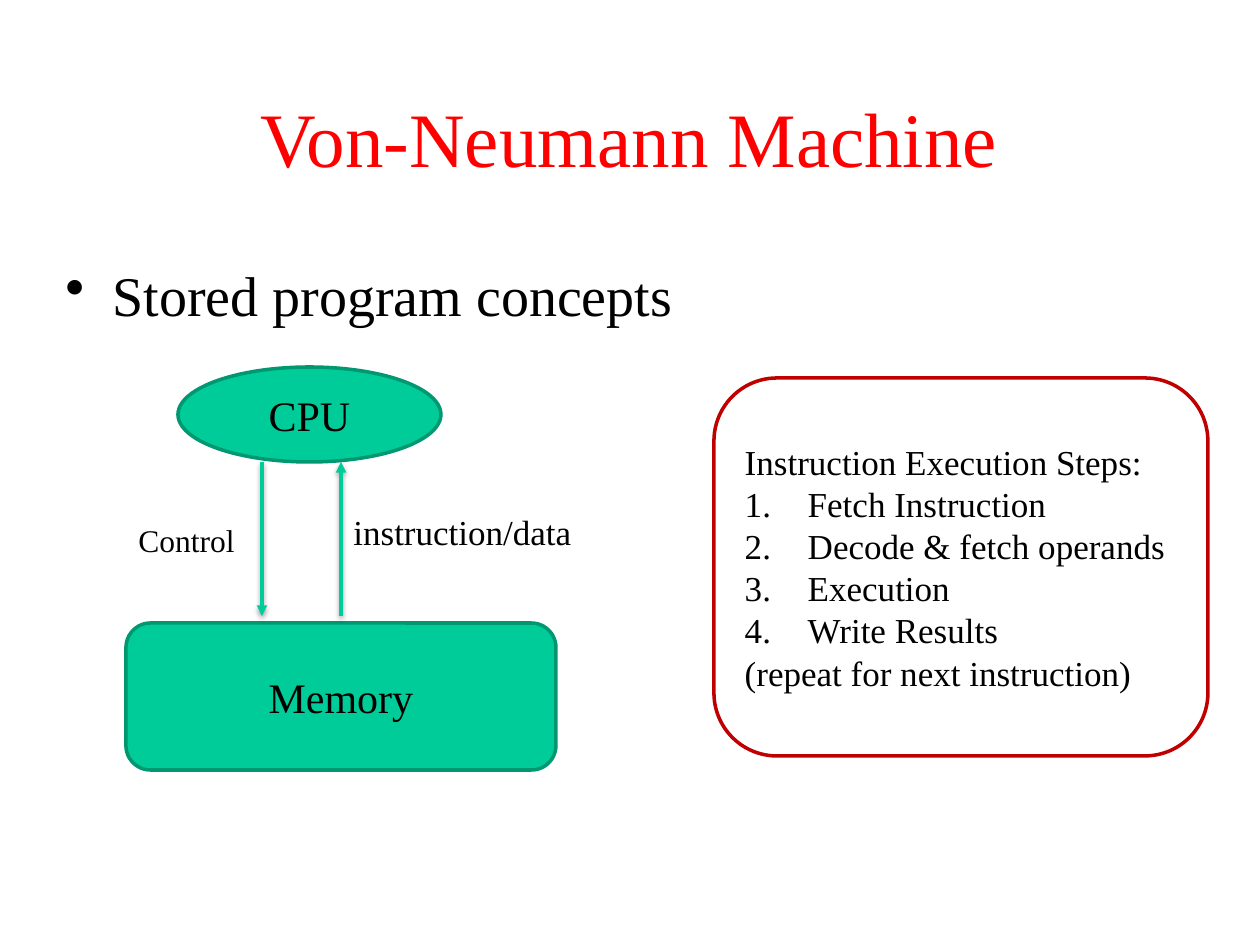
from pptx import Presentation
from pptx.dml.color import RGBColor
from pptx.enum.shapes import MSO_CONNECTOR as CONN, MSO_SHAPE as SHAPE
from pptx.enum.text import MSO_ANCHOR as ANCHOR, PP_ALIGN as ALIGN
from pptx.oxml import parse_xml
from pptx.oxml.ns import nsdecls
from pptx.util import Emu, Pt

SCALE = 914400 / 126
FONT = "Times New Roman"
COLORS = {
    "title": "FF0000",
    "text": "000000",
    "fill": "00CC99",
    "edge": "009771",
    "steps": "C00000",
}


def px(n):
    return Emu(round(n * SCALE))


def rgb(name):
    return RGBColor.from_string(COLORS[name])


def add_marker(p, indent, marker):
    pPr = p._p.get_or_add_pPr()
    pPr.set("marL", str(px(indent)))
    pPr.set("indent", str(-px(indent)))
    pPr.append(parse_xml(f"<a:{marker} {nsdecls('a')}/>"))


def write(tf, lines, size=24, color="text", align=ALIGN.LEFT,
          anchor=ANCHOR.TOP, wrap=True, indent=0, marker=None, marked=()):
    tf.word_wrap = wrap
    tf.vertical_anchor = anchor
    for i, line in enumerate(lines):
        p = tf.paragraphs[0] if i == 0 else tf.add_paragraph()
        p.alignment = align
        if i in marked:
            add_marker(p, indent, marker)
        r = p.add_run()
        r.text = line
        r.font.name = FONT
        r.font.size = Pt(size)
        r.font.color.rgb = rgb(color)


def add_title(s, text, box):
    title = s.shapes.title
    title.left, title.top, title.width, title.height = map(px, box)
    write(title.text_frame, [text], size=44, color="title",
          align=ALIGN.CENTER, anchor=ANCHOR.MIDDLE)


def add_label(s, text, box, **fmt):
    sp = s.shapes.add_textbox(*map(px, box))
    write(sp.text_frame, [text], **fmt)


def add_node(s, kind, lines, box, edge="edge", fill=None, **fmt):
    sp = s.shapes.add_shape(kind, *map(px, box))
    sp.shadow.inherit = False
    if fill:
        sp.fill.solid()
        sp.fill.fore_color.rgb = rgb(fill)
    else:
        sp.fill.background()
    sp.line.color.rgb = rgb(edge)
    sp.line.width = Pt(2)
    write(sp.text_frame, lines, anchor=ANCHOR.MIDDLE, **fmt)


def add_arrow(s, x, start, end):
    c = s.shapes.add_connector(CONN.STRAIGHT, px(x), px(start), px(x), px(end))
    c.line.color.rgb = rgb("fill")
    c.line.width = Pt(2)
    c.line._get_or_add_ln().append(
        parse_xml(f'<a:tailEnd {nsdecls("a")} type="triangle"/>'))
    c._element.spPr.append(parse_xml(
        f'<a:effectLst {nsdecls("a")}>'
        f'<a:outerShdw blurRad="{Pt(3.1)}" dist="{Pt(1.6)}" dir="5400000" rotWithShape="0">'
        '<a:srgbClr val="000000"><a:alpha val="38000"/></a:srgbClr>'
        '</a:outerShdw></a:effectLst>'))


def main():
    prs = Presentation()
    prs.slide_width, prs.slide_height = px(1260), px(945)
    s = prs.slides.add_slide(prs.slide_layouts[5])

    add_title(s, "Von-Neumann Machine", (94, 84, 1071, 105))
    add_label(s, "Stored program concepts", (53, 254, 639, 567), size=32,
              indent=47, marker='buChar char="•"', marked=[0])

    add_node(s, SHAPE.OVAL, ["CPU"], (178, 367, 263, 95),
             fill="fill", align=ALIGN.CENTER)
    add_node(s, SHAPE.ROUNDED_RECTANGLE, ["Memory"], (126, 623, 430, 147),
             fill="fill", align=ALIGN.CENTER)
    add_arrow(s, 341, 616, 462)
    add_arrow(s, 262, 462, 616)
    add_label(s, "Control", (126, 508, 158, 63), size=18, anchor=ANCHOR.MIDDLE)
    add_label(s, "instruction/data", (341, 504, 244, 55), size=20, wrap=False)

    steps = [
        "Instruction Execution Steps:",
        "Fetch Instruction",
        "Decode & fetch operands",
        "Execution",
        "Write Results",
        "(repeat for next instruction)",
    ]
    add_node(s, SHAPE.ROUNDED_RECTANGLE, steps, (714, 378, 494, 378),
             edge="steps", size=20, indent=63,
             marker='buAutoNum type="arabicPeriod"', marked=range(1, 5))

    prs.save("out.pptx")


if __name__ == "__main__":
    main()
